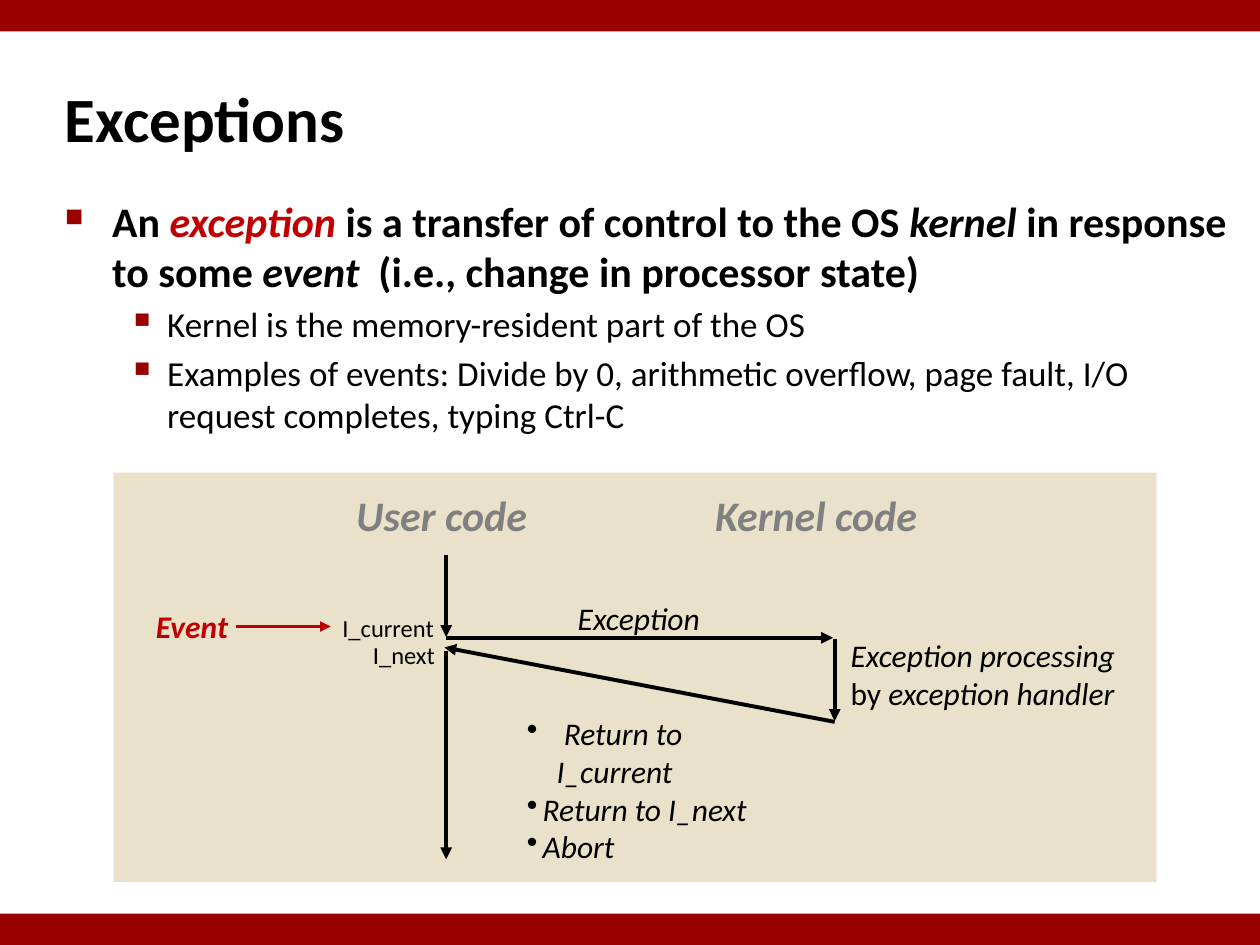
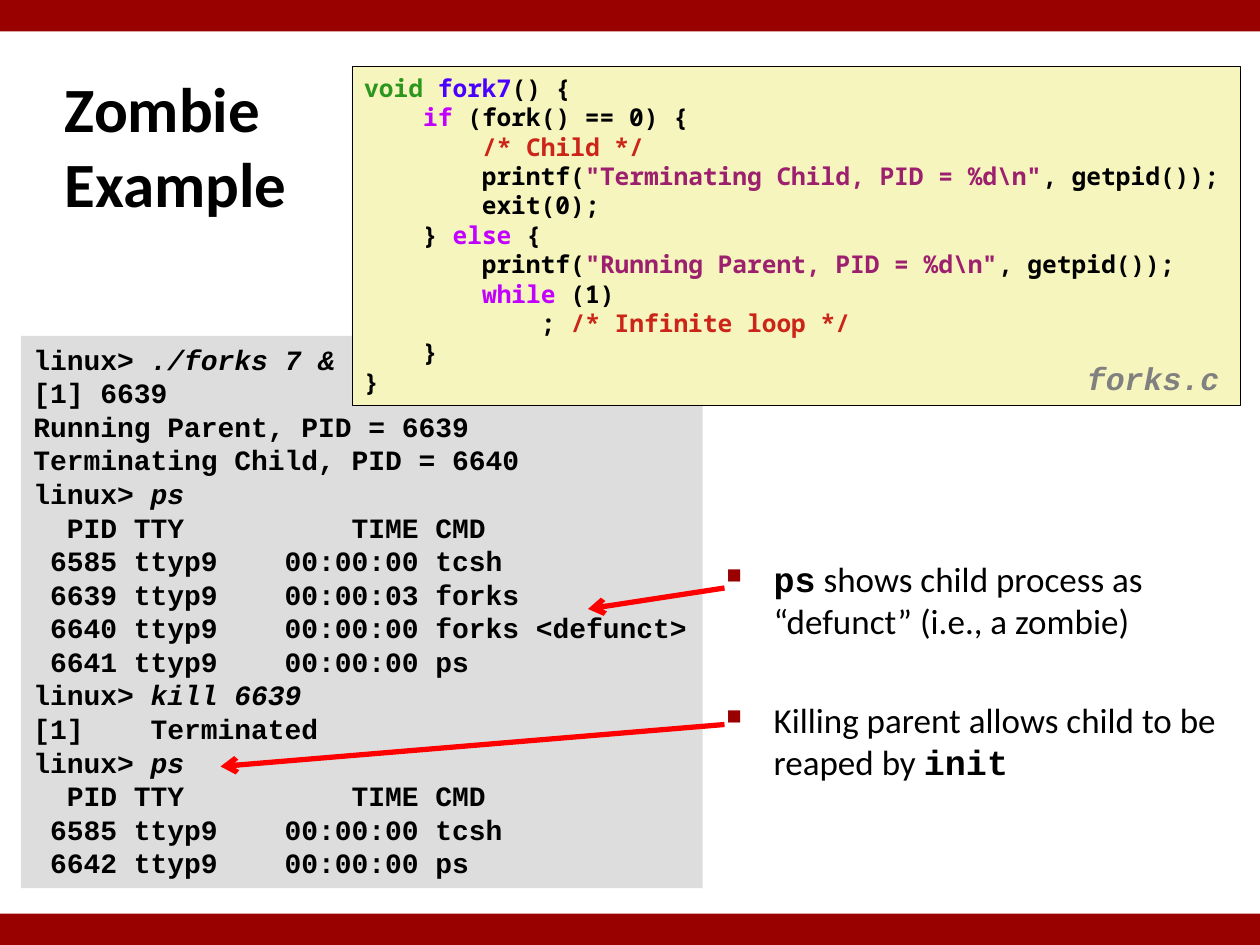
from dataclasses import dataclass
from functools import partial
from typing import NamedTuple, Optional

from lxml.etree import SubElement
from pptx import Presentation
from pptx.dml.color import RGBColor
from pptx.enum.shapes import MSO_CONNECTOR as Line, MSO_SHAPE as Shape
from pptx.enum.text import MSO_ANCHOR as Anchor, MSO_AUTO_SIZE as AutoSize
from pptx.oxml.ns import qn
from pptx.util import Pt


# Theme
@dataclass(frozen=True)
class Theme:
    ink: str = "000000"
    band: str = "990000"
    accent: str = "C00000"
    pointer: str = "FF0000"
    muted: str = "808080"
    diagram: str = "E9E1C9"
    terminal: str = "DDDDDD"
    listing: str = "F6F5BD"
    type_name: str = "2D961E"
    function_name: str = "4A00FF"
    keyword: str = "C200FF"
    comment: str = "CB2418"
    string: str = "9D206F"
    sans: str = "Calibri"
    mono: str = "Courier New"
    code: str = "Noto Sans Mono"
    title_size: float = 36
    heading_size: float = 24
    body_size: float = 20
    label_size: float = 18
    shell_size: float = 16
    code_size: float = 14


THEME = Theme()
SLIDE_W, SLIDE_H, BAND_H = 720, 540, 18


class Box(NamedTuple):
    left: float
    top: float
    width: float
    height: float


class Run(NamedTuple):
    text: str
    color: Optional[str] = None
    italic: Optional[bool] = None
    bold: Optional[bool] = None
    font: Optional[str] = None


class Bullet(NamedTuple):
    char: str
    margin: float
    hanging: float
    percent: int = 100
    color: str = THEME.ink


class Para(NamedTuple):
    runs: list
    bullet: Optional[Bullet] = None
    size: Optional[float] = None
    bold: Optional[bool] = None
    before: float = 0


class Arrow(NamedTuple):
    x1: float
    y1: float
    x2: float
    y2: float
    color: str = THEME.ink
    weight: float = 2.25
    head: str = "triangle"


class Label(NamedTuple):
    box: Box
    runs: list
    size: float = THEME.label_size
    color: str = THEME.ink
    bold: bool = False
    italic: bool = True


POINT = Bullet("■", 27, 27, 60, THEME.band)
SUBPOINT = Bullet("▪", 58.5, 22.5, 110, THEME.band)
emphasis = partial(Run, italic=True)


# Drawing helpers
def rgb(value: str) -> RGBColor:
    return RGBColor.from_string(value)


def add_panel(slide, box: Box, fill: str, outline: Optional[str] = None):
    panel = slide.shapes.add_shape(Shape.RECTANGLE, *map(Pt, box))
    panel.shadow.inherit = False
    panel.fill.solid()
    panel.fill.fore_color.rgb = rgb(fill)
    if outline:
        panel.line.color.rgb = rgb(outline)
        panel.line.width = Pt(0.25)
    else:
        panel.line.fill.background()
    return panel


def add_arrow(slide, arrow: Arrow) -> None:
    ends = map(Pt, (arrow.x1, arrow.y1, arrow.x2, arrow.y2))
    connector = slide.shapes.add_connector(Line.STRAIGHT, *ends)
    connector.line.color.rgb = rgb(arrow.color)
    connector.line.width = Pt(arrow.weight)
    SubElement(connector.line._get_or_add_ln(), qn("a:tailEnd"), type=arrow.head)
    SubElement(connector._element.spPr, qn("a:effectLst"))


def set_bullet(paragraph, bullet: Bullet) -> None:
    props = paragraph._p.get_or_add_pPr()
    props.set("marL", str(Pt(bullet.margin)))
    props.set("indent", str(-Pt(bullet.hanging)))
    color = SubElement(props, qn("a:buClr"))
    SubElement(color, qn("a:srgbClr"), val=bullet.color)
    SubElement(props, qn("a:buSzPct"), val=str(bullet.percent * 1000))
    SubElement(props, qn("a:buChar"), char=bullet.char)


def put_text(holder, paras: list, *, size: float, font: str = THEME.sans,
             color: str = THEME.ink, bold: bool = False, italic: bool = False,
             wrap: bool = True, grow: bool = False, anchor=Anchor.TOP,
             spacing: Optional[float] = None) -> None:
    """Fill a shape with paragraphs; runs override the given format."""
    frame = holder.text_frame
    frame.word_wrap = wrap
    frame.auto_size = AutoSize.SHAPE_TO_FIT_TEXT if grow else AutoSize.NONE
    frame.vertical_anchor = anchor
    for index, para in enumerate(paras):
        paragraph = frame.paragraphs[0] if index == 0 else frame.add_paragraph()
        paragraph.alignment = 1
        if para.bullet:
            set_bullet(paragraph, para.bullet)
        if para.before:
            paragraph.space_before = Pt(para.before)
        if spacing:
            paragraph.line_spacing = spacing
        for part in para.runs:
            pieces = part.text.split("\v")
            for number, piece in enumerate(pieces):
                if number:
                    paragraph.add_line_break()
                run = paragraph.add_run()
                run.text = piece
                style = run.font
                style.name = part.font or font
                style.size = Pt(para.size or size)
                style.color.rgb = rgb(part.color or color)
                weight = bold if para.bold is None else para.bold
                style.bold = weight if part.bold is None else part.bold
                style.italic = italic if part.italic is None else part.italic


def add_text(slide, box: Box, paras: list, **style) -> None:
    put_text(slide.shapes.add_textbox(*map(Pt, box)), paras, **style)


def add_label(slide, label: Label) -> None:
    add_text(slide, label.box, [Para(label.runs)], size=label.size, color=label.color,
             bold=label.bold, italic=label.italic, wrap=False, grow=True)


def add_title(slide, box: Box, title: str, anchor=Anchor.TOP) -> None:
    add_text(slide, box, [Para([Run(title)])], size=THEME.title_size,
             bold=True, anchor=anchor)


def add_bands(slide) -> None:
    for top in (0, SLIDE_H - BAND_H):
        add_panel(slide, Box(0, top, SLIDE_W, BAND_H), THEME.band)


# Slide 1: control flow of an exception
def build_exceptions(slide) -> None:
    add_panel(slide, Box(65, 270, 596, 234), THEME.diagram)
    add_title(slide, Box(30, 42, 264, 45), "Exceptions")
    detail = partial(Para, bullet=SUBPOINT, size=THEME.body_size, bold=False, before=4)
    add_text(slide, Box(30, 108, 684, 150), [
        Para([Run("An "), emphasis("exception", THEME.accent),
              Run(" is a transfer of control to the OS "), emphasis("kernel"),
              Run(" in response to some "), emphasis("event"),
              Run("  (i.e., change in processor state)")], POINT),
        detail([Run("Kernel is the memory-resident part of the OS")]),
        detail([Run("Examples of events: Divide by 0, arithmetic overflow, page fault, "
                    "I/O request completes, typing Ctrl-C")]),
    ], size=THEME.heading_size, bold=True)

    # Control flow: user code on the left, kernel code on the right
    user_x, kernel_x, raised_y, handled_y = 255, 477, 364.5, 412.5
    for arrow in (
        Arrow(user_x, 317, user_x, raised_y - 0.5),
        Arrow(user_x, raised_y, kernel_x - 1, raised_y),
        Arrow(kernel_x, raised_y + 0.5, kernel_x, handled_y - 0.5),
        Arrow(kernel_x, handled_y, user_x - 1, 370),
        Arrow(user_x, 372, user_x, 491),
        Arrow(135, 358, 189, 358, THEME.accent, 2),
    ):
        add_arrow(slide, arrow)

    heading = partial(Label, size=THEME.heading_size, color=THEME.muted, bold=True)
    instruction = partial(Label, size=THEME.code_size, italic=False)
    for label in (
        heading(Box(196.5, 276, 121.5, 36), [Run("User code")]),
        heading(Box(401.5, 276, 140.5, 36), [Run("Kernel code")]),
        Label(Box(323, 338.5, 90, 29), [Run("Exception")]),
        Label(Box(82, 343.5, 63, 29), [Run("Event")], color=THEME.accent, bold=True),
        instruction(Box(188.5, 346.5, 68.5, 24.5), [Run("I_current")]),
        instruction(Box(206, 362, 51, 24.5), [Run("I_next")]),
    ):
        add_label(slide, label)

    add_text(slide, Box(479, 360, 169, 73), [
        Para([Run("Exception processing")]),
        Para([Run("by ", italic=False), Run("exception handler")]),
    ], size=THEME.label_size, italic=True, grow=True)
    outcome = Bullet("•", 9, 9)
    add_text(slide, Box(294, 404.5, 165, 95), [
        Para([Run(" Return to\vI_current")], Bullet("•", 17, 17)),
        Para([Run("Return to I_next")], outcome),
        Para([Run("Abort")], outcome),
    ], size=THEME.label_size, italic=True)


# Slide 2: zombie process
SESSION = """\
linux> ./forks 7 &
[1] 6639
Running Parent, PID = 6639
Terminating Child, PID = 6640
linux> ps
  PID TTY          TIME CMD
 6585 ttyp9    00:00:00 tcsh
 6639 ttyp9    00:00:03 forks
 6640 ttyp9    00:00:00 forks <defunct>
 6641 ttyp9    00:00:00 ps
linux> kill 6639
[1]    Terminated
linux> ps
  PID TTY          TIME CMD
 6585 ttyp9    00:00:00 tcsh
 6642 ttyp9    00:00:00 ps"""

keyword = partial(Run, color=THEME.keyword)
string = partial(Run, color=THEME.string)
comment = partial(Run, color=THEME.comment)

FORK7 = [
    [Run("void ", THEME.type_name), Run("fork7", THEME.function_name), Run("() {")],
    [Run("    "), keyword("if"), Run(" (fork() == 0) {")],
    [Run("        "), comment("/* Child */")],
    [Run("        printf("), string(r'"Terminating Child, PID = %d\n"'), Run(", getpid());")],
    [Run("        exit(0);")],
    [Run("    } "), keyword("else"), Run(" {")],
    [Run("        printf("), string(r'"Running Parent, PID = %d\n"'), Run(", getpid());")],
    [Run("        "), keyword("while"), Run(" (1)")],
    [Run("            ; "), comment("/* Infinite loop */")],
    [Run("    }")],
    [Run("}")],
]


def session_line(line: str) -> Para:
    prompt = "linux> "
    if line.startswith(prompt):
        return Para([Run(prompt), emphasis(line[len(prompt):])])
    return Para([Run(line)])


def build_zombie(slide) -> None:
    terminal = add_panel(slide, Box(12, 192, 389.5, 315.5), THEME.terminal)
    put_text(terminal, [session_line(line) for line in SESSION.splitlines()],
             size=THEME.shell_size, font=THEME.mono, bold=True, wrap=False, grow=True)
    add_title(slide, Box(30, 39.5, 157.5, 86.5), "Zombie\vExample", Anchor.MIDDLE)

    command = partial(Run, font=THEME.mono, bold=True)
    add_text(slide, Box(408, 315, 312, 207), [
        Para([command("ps"), Run(" shows child process as “defunct” (i.e., a zombie)")], POINT),
        Para([Run("Killing parent allows child to be reaped by "), command("init")],
             POINT, before=32.4),
    ], size=THEME.body_size)

    listing = add_panel(slide, Box(201, 38, 508, 193.5), THEME.listing, THEME.ink)
    put_text(listing, [Para(runs) for runs in FORK7], size=THEME.code_size,
             font=THEME.code, bold=True, wrap=False, grow=True)
    add_text(slide, Box(614, 203.5, 95, 28), [Para([Run("forks.c")])],
             size=THEME.label_size, font=THEME.mono, color=THEME.muted, bold=True,
             italic=True, wrap=False, grow=True, spacing=0.94)

    pointer = partial(Arrow, color=THEME.pointer, weight=3, head="arrow")
    add_arrow(slide, pointer(414, 336, 336, 348))
    add_arrow(slide, pointer(414, 414, 126, 438))


def main() -> None:
    deck = Presentation()
    deck.slide_width, deck.slide_height = Pt(SLIDE_W), Pt(SLIDE_H)
    for build in (build_exceptions, build_zombie):
        slide = deck.slides.add_slide(deck.slide_layouts[6])
        build(slide)
        add_bands(slide)
    deck.save("out.pptx")


if __name__ == "__main__":
    main()
